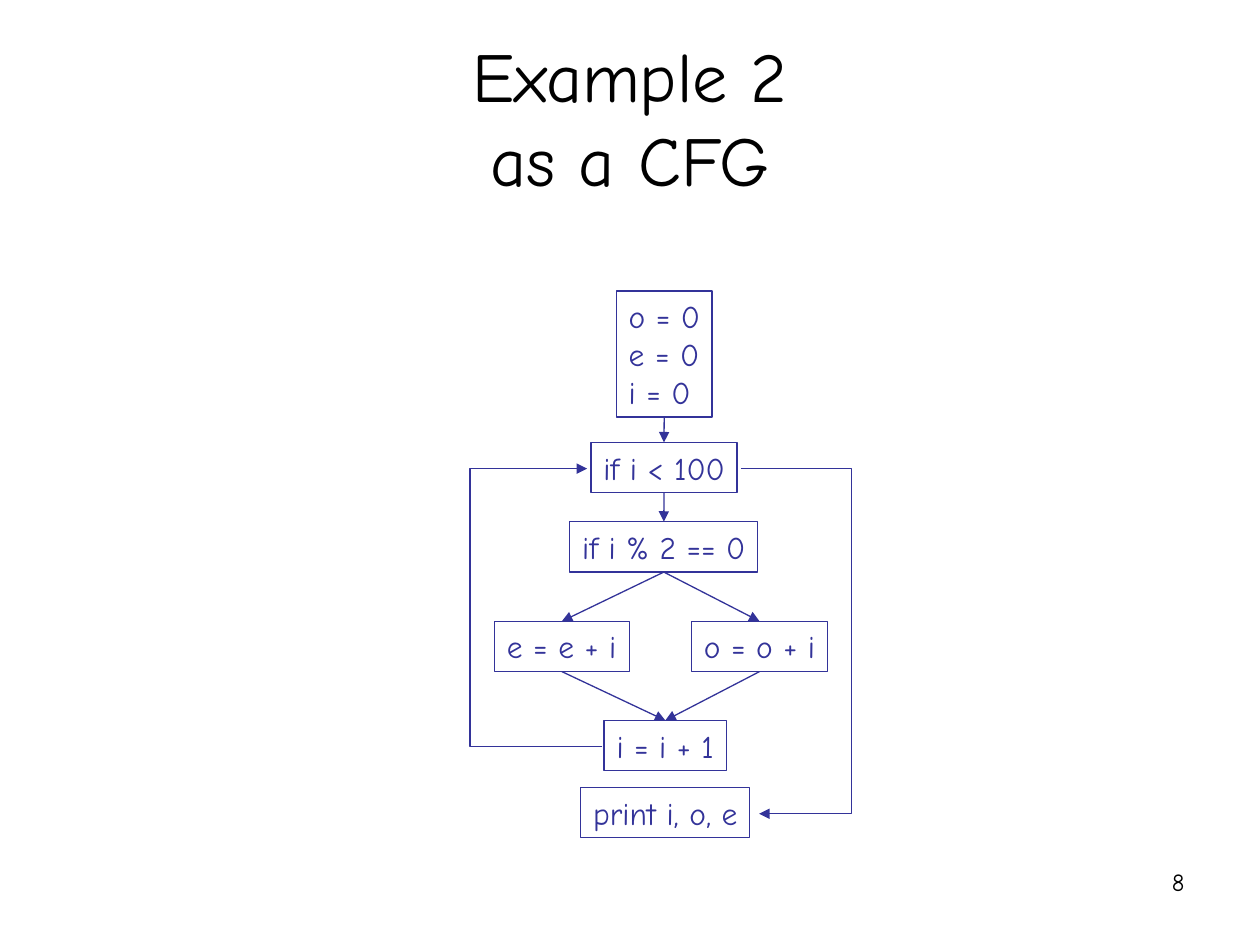
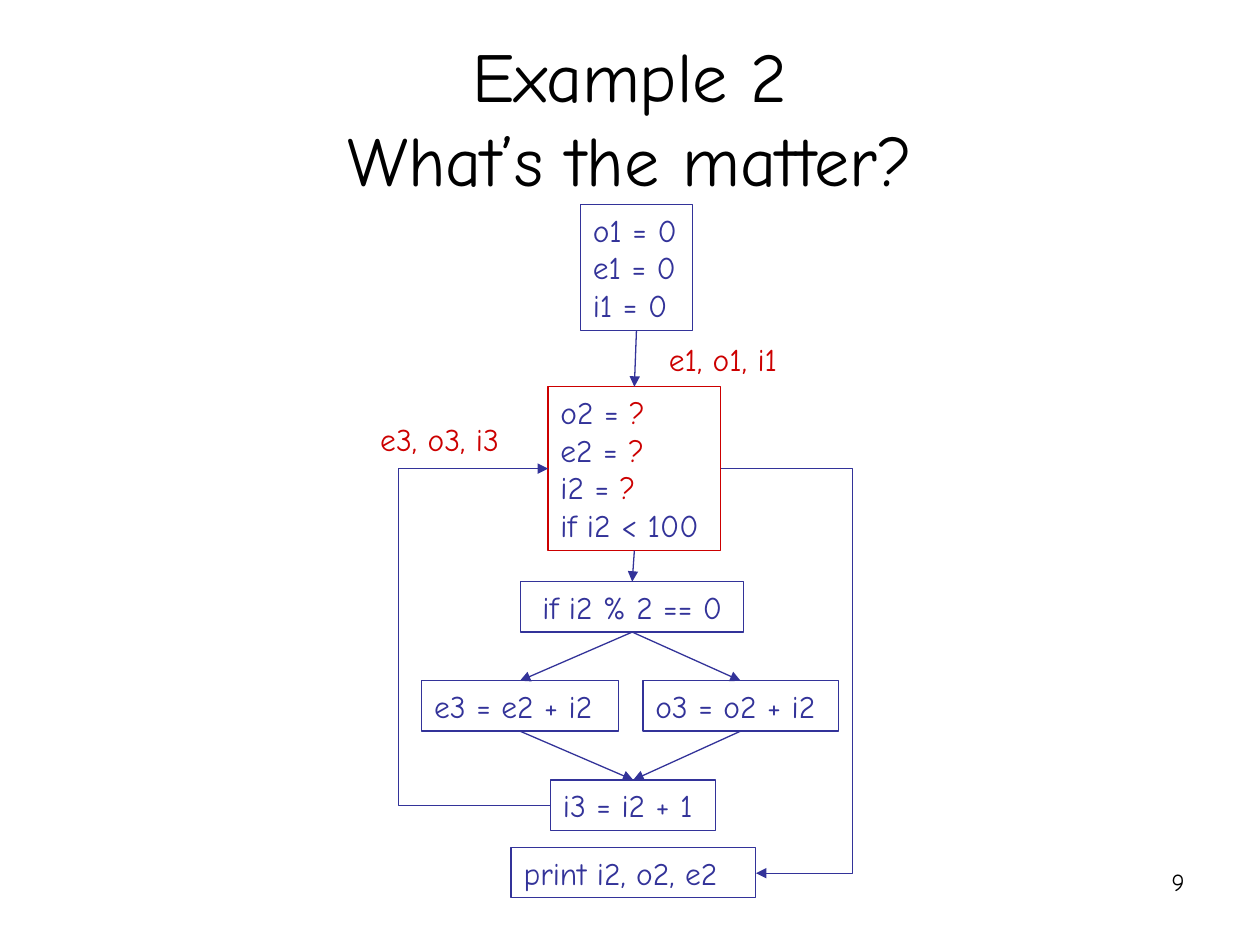
from dataclasses import dataclass

from lxml import etree
from pptx import Presentation
from pptx import util as u
from pptx.dml.color import RGBColor
from pptx.enum import shapes, text
from pptx.oxml import ns

COLORS = {"ink": "000000", "flow": "333399", "open": "CC0000"}
FONT = "Comic Neue"
LINE_HEIGHT = 21.6
PADDING = 7.2
LEFT, CENTER, RIGHT = text.PP_ALIGN.LEFT, text.PP_ALIGN.CENTER, text.PP_ALIGN.RIGHT
BOTTOM_SIDE, TOP_SIDE = 2, 0
BRANCHES = [
    ("init", "loop"),
    ("loop", "parity"),
    ("parity", "even"),
    ("parity", "odd"),
    ("even", "step"),
    ("odd", "step"),
]


@dataclass(frozen=True)
class Block:
    name: str
    left: float
    top: float
    width: float
    code: str
    edge: str = "flow"
    align: text.PP_ALIGN = LEFT

    @property
    def height(self) -> float:
        return PADDING + LINE_HEIGHT * len(self.code.split("\n"))


@dataclass(frozen=True)
class Elbow:
    x1: float
    y1: float
    x2: float
    y2: float
    bend: float


@dataclass(frozen=True)
class Label:
    left: float
    top: float
    width: float
    names: str


@dataclass(frozen=True)
class Graph:
    title: str
    number: int
    blocks: list[Block]
    elbows: list[Elbow]
    labels: list[Label]


GRAPHS = [
    Graph(
        "Example 2\nas a CFG", 8,
        [
            Block("init", 352.2, 166.3, 54.7, "o = 0\ne = 0\ni = 0"),
            Block("loop", 337.7, 252.8, 83.5, "if i < 100"),
            Block("parity", 325.6, 298.1, 107.5, "if i % 2 == 0", align=CENTER),
            Block("even", 282.6, 355, 77, "e = e + i"),
            Block("odd", 395.2, 355, 77.6, "o = o + i"),
            Block("step", 345.2, 411.7, 70, "i = i + 1"),
            Block("print", 331.9, 450, 96.5, "print i, o, e"),
        ],
        [
            Elbow(423.4, 267.8, 433.8, 465, 486.7),
            Elbow(344.2, 426.4, 335.5, 267.8, 268.6),
        ],
        [],
    ),
    Graph(
        "Example 2\nWhat’s the matter?", 9,
        [
            Block("init", 331.7, 116.8, 64, "o1 = 0\ne1 = 0\ni1 = 0"),
            Block("loop", 313.2, 221, 98.6,
                  "o2 = ?\ne2 = ?\ni2 = ?\nif i2 < 100", edge="open"),
            Block("parity", 297.6, 332.4, 127.4, "if i2 % 2 == 0", align=CENTER),
            Block("even", 241, 389, 112.3, "e3 = e2 + i2"),
            Block("odd", 367.4, 389, 111.6, "o3 = o2 + i2"),
            Block("step", 314.6, 445.7, 94.5, "i3 = i2 + 1"),
            Block("print", 292.1, 484.3, 139.7, "print i2, o2, e2"),
        ],
        [
            Elbow(411.8, 267.8, 432, 499, 487.2),
            Elbow(314.6, 460.4, 313.2, 267.8, 227),
        ],
        [
            Label(210.2, 236.2, 82, "e3, o3, i3"),
            Label(375.1, 190.8, 76.3, "e1, o1, i1"),
        ],
    ),
]


def rgb(name: str) -> RGBColor:
    return RGBColor.from_string(COLORS[name])


def write(tf, txt: str, *, size: float, color: str, align=LEFT,
          anchor=text.MSO_ANCHOR.TOP, mark="") -> None:
    tf.word_wrap = True
    tf.auto_size = text.MSO_AUTO_SIZE.NONE
    tf.vertical_anchor = anchor
    if align == LEFT:
        tf.margin_right = 0
    for i, line in enumerate(txt.split("\n")):
        p = tf.add_paragraph() if i else tf.paragraphs[0]
        p.alignment = align
        parts = line.partition(mark) if mark else (line,)
        for part in filter(None, parts):
            r = p.add_run()
            r.text = part
            r.font.name = FONT
            r.font.size = u.Pt(size)
            r.font.color.rgb = rgb("open" if part == mark else color)


def add_text(s, left: float, top: float, width: float, height: float,
             txt: str, **fmt) -> None:
    sp = s.shapes.add_textbox(*map(u.Pt, (left, top, width, height)))
    write(sp.text_frame, txt, **fmt)


def add_block(s, b: Block):
    sp = s.shapes.add_shape(shapes.MSO_SHAPE.RECTANGLE,
                            *map(u.Pt, (b.left, b.top, b.width, b.height)))
    sp.shadow.inherit = False
    sp.fill.background()
    sp.line.color.rgb = rgb(b.edge)
    sp.line.width = u.Pt(0.75)
    write(sp.text_frame, b.code, size=18, color="flow", align=b.align, mark="?")
    return sp


def add_arrow(s, kind: shapes.MSO_CONNECTOR, *ends: float):
    c = s.shapes.add_connector(kind, *map(u.Pt, ends))
    c.line.color.rgb = rgb("flow")
    c.line.width = u.Pt(0.75)
    spPr = c.element.spPr
    etree.SubElement(spPr.find(ns.qn("a:ln")), ns.qn("a:tailEnd"), type="triangle")
    etree.SubElement(spPr, ns.qn("a:effectLst"))
    return c


def add_branch(s, start, end) -> None:
    c = add_arrow(s, shapes.MSO_CONNECTOR.STRAIGHT, 0, 0, 0, 0)
    c.begin_connect(start, BOTTOM_SIDE)
    c.end_connect(end, TOP_SIDE)


def add_elbow(s, e: Elbow) -> None:
    c = add_arrow(s, shapes.MSO_CONNECTOR.ELBOW, e.x1, e.y1, e.x2, e.y2)
    spPr = c.element.spPr
    adj = round((e.bend - e.x1) / (e.x2 - e.x1) * 100000)
    etree.SubElement(spPr.find(".//" + ns.qn("a:avLst")), ns.qn("a:gd"),
                     name="adj1", fmla=f"val {adj}")
    xfrm = spPr.find(ns.qn("a:xfrm"))
    if xfrm.get("flipH") and xfrm.get("flipV"):
        del xfrm.attrib["flipH"], xfrm.attrib["flipV"]
        xfrm.set("rot", "10800000")


def add_graph(prs, g: Graph) -> None:
    s = prs.slides.add_slide(prs.slide_layouts[6])
    add_text(s, 36, 21.6, 648, 90, g.title, size=40, color="ink",
             align=CENTER, anchor=text.MSO_ANCHOR.MIDDLE)
    blocks = {b.name: add_block(s, b) for b in g.blocks}
    for start, end in BRANCHES:
        add_branch(s, blocks[start], blocks[end])
    for e in g.elbows:
        add_elbow(s, e)
    for l in g.labels:
        add_text(s, l.left, l.top, l.width, PADDING + LINE_HEIGHT, l.names,
                 size=18, color="open")
    add_text(s, 516, 492, 168, 37.5, str(g.number), size=14, color="ink", align=RIGHT)


def main() -> None:
    prs = Presentation()
    prs.slide_width, prs.slide_height = u.Pt(720), u.Pt(540)
    for g in GRAPHS:
        add_graph(prs, g)
    prs.save("out.pptx")


if __name__ == "__main__":
    main()
